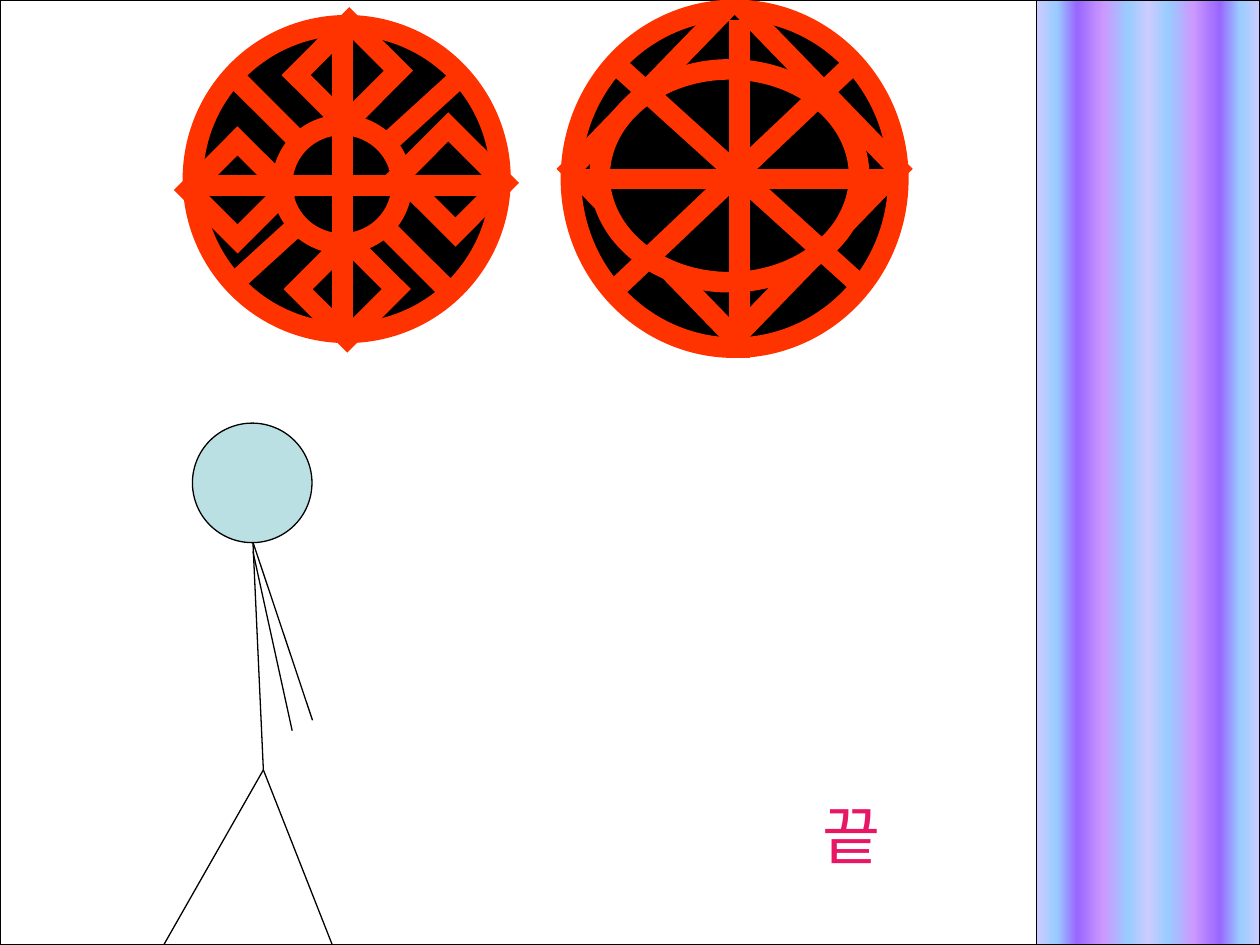
import pptx
import pptx.dml.color
import pptx.enum.shapes
import pptx.enum.text
import pptx.oxml.ns
import pptx.util
import lxml.etree

Cm = pptx.util.Cm
Pt = pptx.util.Pt
RGBColor = pptx.dml.color.RGBColor
Preset = pptx.enum.shapes.MSO_SHAPE
qn = pptx.oxml.ns.qn

BLACK = RGBColor(0x00, 0x00, 0x00)
WHITE = RGBColor(0xFF, 0xFF, 0xFF)
ORANGE = RGBColor(0xFF, 0x33, 0x00)
PALE_TEAL = RGBColor(0xBB, 0xE0, 0xE3)
PINK = RGBColor(0xE8, 0x17, 0x66)
LAVENDER = RGBColor(0xCC, 0xCC, 0xFF)
SKY = RGBColor(0x99, 0xCC, 0xFF)
VIOLET = RGBColor(0x99, 0x66, 0xFF)
ORCHID = RGBColor(0xCC, 0x99, 0xFF)

FONT = "Noto Sans CJK KR"
THIN = 0.75
THICK = 11.75
HALF_BAND = [(0, LAVENDER), (9, SKY), (18, VIOLET), (30, ORCHID), (41, SKY)]
BAND_STOPS = HALF_BAND + [(50, LAVENDER)] + [(100 - position, color) for position, color in reversed(HALF_BAND)]


def style_line(line, color, width):
    """Give a line its colour, width and mitred corners."""
    line.color.rgb = color
    line.width = Pt(width)
    miter = lxml.etree.SubElement(line._get_or_add_ln(), qn("a:miter"))
    miter.set("lim", "800000")


def add_figure(slide, preset, left, top, width, height, fill, line=BLACK, weight=THIN, rotation=0):
    """Add a preset shape, measured in centimetres."""
    shape = slide.shapes.add_shape(preset, Cm(left), Cm(top), Cm(width), Cm(height))
    shape.shadow.inherit = False
    shape.rotation = rotation
    shape.fill.solid()
    shape.fill.fore_color.rgb = fill
    style_line(shape.line, line, weight)
    return shape


def add_line(slide, left, top, start, end, color=BLACK, weight=THIN):
    """Add a straight line between two points relative to a corner."""
    connector = slide.shapes.add_connector(
        pptx.enum.shapes.MSO_CONNECTOR.STRAIGHT,
        Cm(left + start[0]), Cm(top + start[1]), Cm(left + end[0]), Cm(top + end[1]))
    style_line(connector.line, color, weight)
    lxml.etree.SubElement(connector._element.spPr, qn("a:effectLst"))


def add_text(slide, text, left, top, width, height, size=36, color=PINK, font=FONT):
    """Add one centred line of text that does not wrap."""
    box = slide.shapes.add_textbox(Cm(left), Cm(top), Cm(width), Cm(height))
    box.text_frame.word_wrap = False
    paragraph = box.text_frame.paragraphs[0]
    paragraph.alignment = pptx.enum.text.PP_ALIGN.CENTER
    run = paragraph.add_run()
    run.text = text
    run.font.size = Pt(size)
    run.font.name = font
    run.font.color.rgb = color
    east_asian = lxml.etree.SubElement(run._r.get_or_add_rPr(), qn("a:ea"))
    east_asian.set("typeface", font)


def add_band(slide, left, top, width, height):
    """Add the striped gradient band."""
    band = add_figure(slide, Preset.RECTANGLE, left, top, width, height, LAVENDER)
    band.fill.gradient()
    band.fill.gradient_angle = 0
    stop_list = band._element.spPr.find(qn("a:gradFill")).find(qn("a:gsLst"))
    for stop in list(stop_list):
        stop_list.remove(stop)
    for position, color in BAND_STOPS:
        stop = lxml.etree.SubElement(stop_list, qn("a:gs"), pos=str(position * 1000))
        lxml.etree.SubElement(stop, qn("a:srgbClr"), val=str(color))


def add_stick_person(slide, left, top):
    """Add the stick person with its head, body, legs and arms."""
    neck, hip = (1.8, 2.4), (2.01, 6.99)
    add_figure(slide, Preset.OVAL, left + 0.58, top, 2.41, 2.41, PALE_TEAL)
    limbs = [(neck, hip), (hip, (3.4, 10.52)), (hip, (0, 10.52)),
             (neck, (3, 5.99)), ((1.8, 2.59), (2.59, 6.2))]
    for start, end in limbs:
        add_line(slide, left, top, start, end)


def add_wheel(slide, left, top, figures, lines):
    """Add black figures with thick orange outlines, then orange lines."""
    for preset, x, y, width, height, rotation in figures:
        add_figure(slide, preset, left + x, top + y, width, height, BLACK, ORANGE, THICK, rotation)
    for start, end in lines:
        add_line(slide, left, top, start, end, ORANGE, THICK)


def add_square_wheel(slide, left, top):
    """Add the wheel with a hub and four turned squares."""
    rim = [(Preset.OVAL, 0, 0, 6.2, 6.2, 0)]
    spokes = [((0.81, 5.21), (5.41, 1.02)), ((5.21, 5.41), (0.81, 1.02))]
    squares = [(2.41, 0.2, 1.4, 1.52), (0.2, 2.62, 1.4, 1.4),
               (2.41, 4.62, 1.4, 1.4), (4.42, 2.41, 1.6, 1.4)]
    inner = [(Preset.OVAL, 1.8, 2.01, 2.41, 2.39, 0)]
    inner += [(Preset.RECTANGLE, *square, 44.9) for square in squares]
    cross = [((0, 3.23), (6.22, 3.23)), ((3.02, 0), (3.02, 6.22))]
    add_wheel(slide, left, top, rim, spokes)
    add_wheel(slide, left, top, inner, cross)


def add_diamond_wheel(slide, left, top):
    """Add the wheel with a diamond, an inner ring and eight spokes."""
    figures = [(Preset.OVAL, 0, 0.2, 6.6, 6.81, 0),
               (Preset.DIAMOND, 0, 0, 6.6, 6.81, 0),
               (Preset.OVAL, 0.58, 1.4, 5.23, 4.29, 0)]
    spokes = [((0.79, 1.19), (5.82, 5.74)), ((0.99, 5.74), (5.79, 1.19)),
              ((3.4, 0.41), (3.4, 7.21)), ((-0.2, 3.61), (6.4, 3.61))]
    add_wheel(slide, left, top, figures, spokes)


def main():
    """Build and save the closing slide."""
    presentation = pptx.Presentation()
    presentation.slide_width = Cm(25.4)
    presentation.slide_height = Cm(19.05)
    slide = presentation.slides.add_slide(presentation.slide_layouts[6])
    add_figure(slide, Preset.RECTANGLE, 0, 0, 25.4, 19.05, WHITE)
    add_band(slide, 20.9, 0, 4.5, 19.05)
    add_stick_person(slide, 3.3, 8.53)
    add_square_wheel(slide, 3.89, 0.51)
    add_diamond_wheel(slide, 11.51, 0)
    add_text(slide, "끝", 16.1, 15.93, 2.13, 2.03)
    presentation.save("out.pptx")


main()
